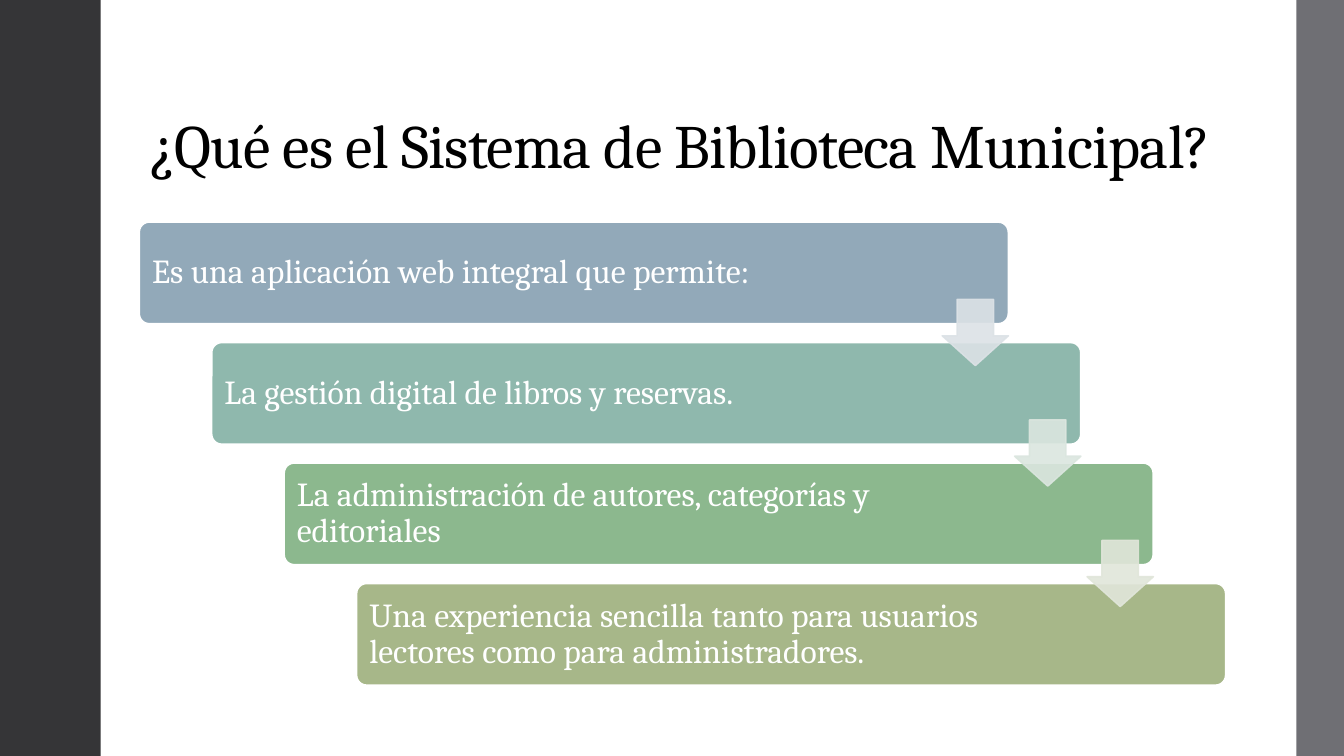
from dataclasses import dataclass

from lxml import etree
from pptx import Presentation
from pptx.dml.color import RGBColor
from pptx.enum.shapes import MSO_SHAPE
from pptx.enum.text import MSO_ANCHOR, PP_ALIGN
from pptx.oxml.ns import qn
from pptx.util import Pt

RECT = MSO_SHAPE.RECTANGLE
ROUNDED = MSO_SHAPE.ROUNDED_RECTANGLE
DOWN_ARROW = MSO_SHAPE.DOWN_ARROW
MIDDLE, BOTTOM = MSO_ANCHOR.MIDDLE, MSO_ANCHOR.BOTTOM
LEFT = PP_ALIGN.LEFT

SLIDE_W, SLIDE_H = 960, 540


@dataclass(frozen=True)
class Theme:
    font: str = "Cambria"
    title_size: int = 44
    step_size: int = 24
    title: str = "000000"
    paper: str = "FFFFFF"
    left_band: str = "353537"
    right_band: str = "6F6F74"
    steps: tuple = ("92A9B9", "8FB8AD", "8CB88E", "A7B789")
    arrows: tuple = ("DCE2E6", "DBE6DF", "E1E6DA")


THEME = Theme()

TITLE = "¿Qué es el Sistema de Biblioteca Municipal?"
STEPS = (
    "Es una aplicación web integral que permite:",
    "La gestión digital de libros y reservas.",
    "La administración de autores, categorías y editoriales",
    "Una experiencia sencilla tanto para usuarios lectores como para administradores.",
)


def add_block(s, kind, x, y, w, h, fill, line=None, line_width=0):
    sp = s.shapes.add_shape(kind, Pt(x), Pt(y), Pt(w), Pt(h))
    sp.shadow.inherit = False
    sp.fill.solid()
    sp.fill.fore_color.rgb = RGBColor.from_string(fill)
    if line:
        sp.line.color.rgb = RGBColor.from_string(line)
        sp.line.width = Pt(line_width)
    else:
        sp.line.fill.background()
    return sp


def set_opacity(sp, percent):
    """Apply the opacity to both the fill and the outline."""
    for color in sp._element.spPr.iter(qn("a:srgbClr")):
        etree.SubElement(color, qn("a:alpha")).set("val", str(percent * 1000))


def write_text(tf, text, size, color, anchor):
    tf.word_wrap = True
    tf.vertical_anchor = anchor
    p = tf.paragraphs[0]
    p.alignment = LEFT
    p.line_spacing = 0.9
    r = p.add_run()
    r.text = text
    p.font.name = THEME.font
    p.font.size = Pt(size)
    p.font.color.rgb = RGBColor.from_string(color)
    return r


def add_backdrop(s):
    """White page with a dark band on the left and a grey one on the right."""
    add_block(s, RECT, 0, 0, SLIDE_W, SLIDE_H, THEME.paper)
    add_block(s, RECT, 0, 0, 72, SLIDE_H, THEME.left_band)
    add_block(s, RECT, 926, 0, SLIDE_W - 926, SLIDE_H, THEME.right_band)


def add_title(s, x, y, w, h):
    tf = s.shapes.add_textbox(Pt(x), Pt(y), Pt(w), Pt(h)).text_frame
    r = write_text(tf, TITLE, THEME.title_size, THEME.title, BOTTOM)
    r._r.get_or_add_rPr().set("spc", "-50")


def add_step(s, x, y, w, h, text, fill):
    sp = add_block(s, ROUNDED, x, y, w, h, fill, THEME.paper, 1.35)
    sp.adjustments[0] = 0.1
    tf = sp.text_frame
    tf.margin_left = tf.margin_top = tf.margin_bottom = Pt(7.2)
    tf.margin_right = Pt(0.17 * w)
    write_text(tf, text, THEME.step_size, THEME.paper, MIDDLE)


def add_arrow(s, x, y, size, color):
    sp = add_block(s, DOWN_ARROW, x, y, size, size, color, color, 1.1)
    sp.adjustments[0], sp.adjustments[1] = 0.55, 0.45
    set_opacity(sp, 90)


def add_staircase(s, x, y, w, h):
    """Steps descend to the right; an arrow bridges each pair at its right end."""
    step_w, step_h = 0.8 * w, 0.22 * h
    gaps = len(STEPS) - 1
    dx, dy = (w - step_w) / gaps, (h - step_h) / gaps
    arrow = 0.65 * step_h
    for i, (text, fill) in enumerate(zip(STEPS, THEME.steps)):
        add_step(s, x + i * dx, y + i * dy, step_w, step_h, text, fill)
    for i, color in enumerate(THEME.arrows):
        add_arrow(s, x + i * dx + step_w - arrow,
                  y + i * dy + 0.76 * step_h, arrow, color)


def main():
    prs = Presentation()
    prs.slide_width, prs.slide_height = Pt(SLIDE_W), Pt(SLIDE_H)
    s = prs.slides.add_slide(prs.slide_layouts[6])
    add_backdrop(s)
    add_title(s, 99.4, 28.8, 776.2, 104.4)
    add_staircase(s, 99.4, 158.5, 776.2, 331)
    prs.save("out.pptx")


if __name__ == "__main__":
    main()
